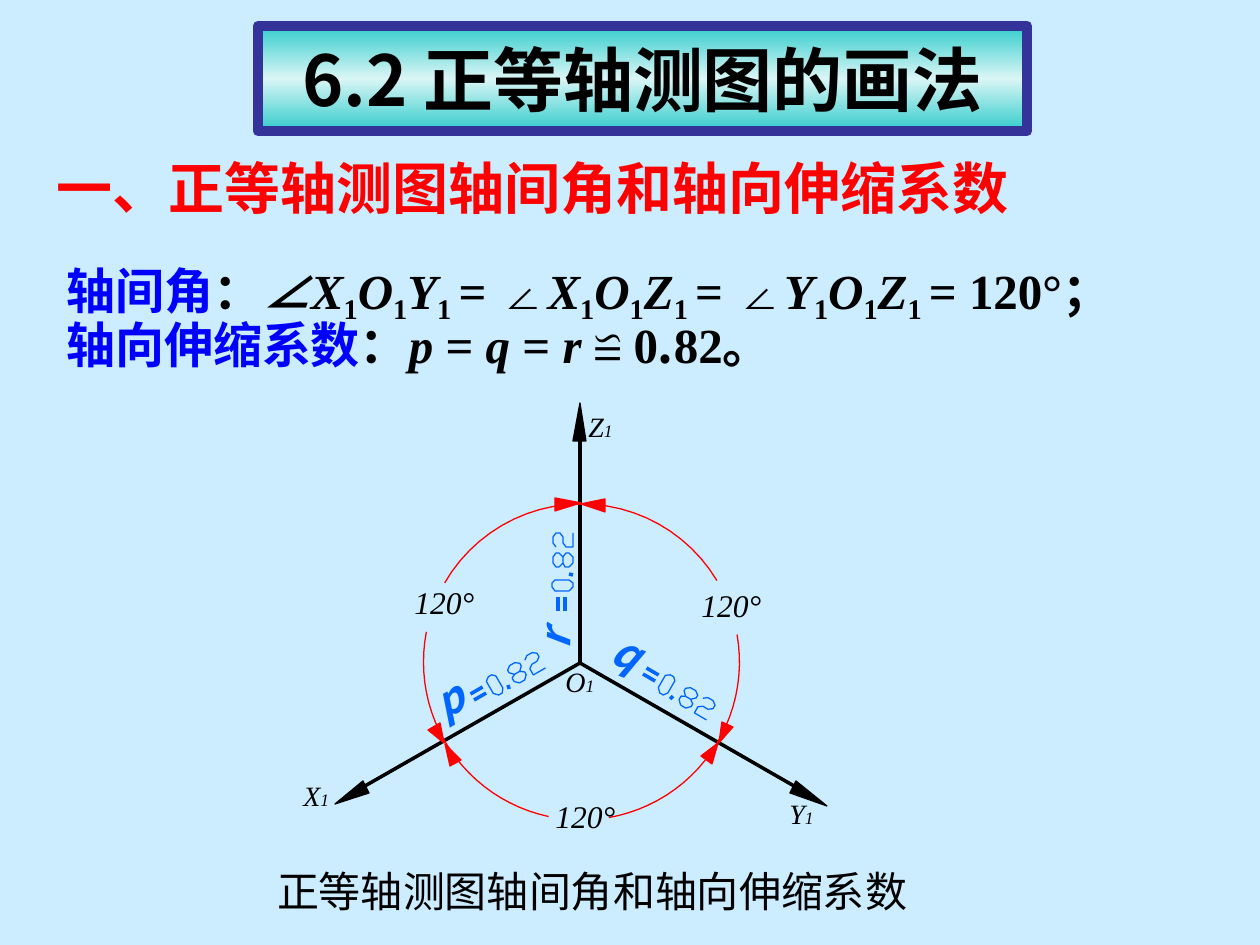
from copy import deepcopy
from math import cos, radians, sin

from lxml import etree
from pptx import Presentation
from pptx.dml.color import RGBColor
from pptx.enum.shapes import MSO_CONNECTOR, MSO_SHAPE
from pptx.enum.text import MSO_ANCHOR, MSO_AUTO_SIZE, PP_ALIGN
from pptx.oxml.ns import qn
from pptx.util import Pt

PX = 914400 / 126
STRAIGHT = MSO_CONNECTOR.STRAIGHT
RECTANGLE = MSO_SHAPE.RECTANGLE
TOP, MIDDLE = MSO_ANCHOR.TOP, MSO_ANCHOR.MIDDLE
LEFT, CENTER = PP_ALIGN.LEFT, PP_ALIGN.CENTER
NO_AUTOFIT = MSO_AUTO_SIZE.NONE

SANS, SERIF, CJK = "Arial", "Times New Roman", "Noto Sans CJK SC"
BLACK, RED, BLUE, SKY = "000000", "FF0000", "0000FF", "0066FF"

ORIGIN = (580, 663)
CIRCLE_CENTER, CIRCLE_RADIUS = (581.5, 662), 158
AXIS_ENDS = [(580, 441), (794, 786), (365, 786)]
AXIS_HEADS = [
    [(573, 441), (580, 403), (586, 441)],
    [(796, 781), (827, 806), (790, 793)],
    [(369, 793), (335, 804), (363, 781)],
]
ARCS = [(-10, 80), (102, 191), (210, 329)]
ARC_HEADS = [
    [(450, 766), (445, 744), (461, 760)],
    [(733, 727), (719, 743), (722, 722)],
    [(701, 756), (718, 743), (712, 764)],
    [(555, 498), (581, 503), (555, 511)],
    [(605, 512), (581, 504), (605, 499)],
    [(440, 723), (444, 743), (428, 730)],
]
AXIS_LABELS = [("Z", 576, 403), ("O", 553, 658), ("Y", 777, 790), ("X", 291, 772)]
ANGLE_LABELS = [(402, 577, 152), (689, 580, 209), (543, 791, 152)]
COEFFICIENT_STROKES = [
    [(0, -15), (14, -15)],
    [(0, -8), (14, -8)],
    [(24, 0), (20, -4), (20, -18), (24, -21), (28, -21), (31, -18), (31, -4), (28, 0), (24, 0)],
    [(36, 0), (37, -4)],
    [(48, 0), (44, -4), (44, -8), (48, -10), (54, -10), (58, -14), (58, -17), (54, -20),
     (48, -20), (44, -17), (44, -14), (48, -10)],
    [(54, -10), (58, -7), (58, -4), (54, 0), (48, 0)],
    [(64, -17), (68, -20), (74, -20), (78, -17), (78, -13), (74, -10), (68, -10), (64, -7),
     (64, 0), (78, 0)],
]
COEFFICIENTS = [
    ("r", (517, 592, 76, 63), 271.8, (573, 611), -90),
    ("q", (601, 619, 47, 63), 21, (639, 681), 30),
    ("p", (421, 662, 73, 63), 329.5, (478, 707), -30),
]


def color(value):
    return RGBColor.from_string(value)


def emu(length):
    return round(length * PX)


def turn(point, origin, degrees):
    angle = radians(degrees)
    x, y = point
    return (origin[0] + x * cos(angle) - y * sin(angle),
            origin[1] + x * sin(angle) + y * cos(angle))


class SlideBuilder:
    def __init__(self, slide, background):
        self.slide = slide
        self.shapes = slide.shapes
        slide.background.fill.solid()
        slide.background.fill.fore_color.rgb = color(background)

    def format_run(self, run, size, font=SERIF, fill=BLACK, bold=False, italic=False, baseline=0):
        run.font.size = Pt(size)
        run.font.bold = bold
        run.font.italic = italic
        run.font.color.rgb = color(fill)
        run.font.name = font
        properties = run.font._element
        etree.SubElement(properties, qn("a:ea")).set("typeface", CJK)
        if baseline:
            properties.set("baseline", str(baseline * 1000))

    def fill_text(self, frame, paragraphs, size, anchor=TOP, align=LEFT, spacing=None, **style):
        frame.vertical_anchor = anchor
        for index, parts in enumerate(paragraphs):
            paragraph = frame.add_paragraph() if index else frame.paragraphs[0]
            paragraph.alignment = align
            paragraph.line_spacing = spacing
            for text, changes in parts:
                run = paragraph.add_run()
                run.text = text
                self.format_run(run, **{"size": size, **style, **changes})

    def title(self, text, box, **style):
        shape = self.shapes.title
        shape.left, shape.top, shape.width, shape.height = map(emu, box)
        shape.text_frame.auto_size = NO_AUTOFIT
        self.fill_text(shape.text_frame, [[(text, {})]], **style)

    def text(self, paragraphs, box, rotation=0, wrap=True, **style):
        shape = self.shapes.add_textbox(*map(emu, box))
        shape.rotation = rotation
        shape.text_frame.word_wrap = wrap
        self.fill_text(shape.text_frame, paragraphs, **style)

    def banner(self, text, box, edge, middle, outline, **style):
        shape = self.shapes.add_shape(RECTANGLE, *map(emu, box))
        shape.shadow.inherit = False
        shape.fill.gradient()
        shape.fill.gradient_angle = 90
        for stop, value in zip(shape.fill.gradient_stops, (edge, middle)):
            stop.color.rgb = color(value)
        stops = shape._element.spPr.find(".//" + qn("a:gsLst"))
        stops.append(deepcopy(stops[0]))
        for stop, position in zip(stops, (0, 50000, 100000)):
            stop.set("pos", str(position))
        shape.line.color.rgb = color(outline)
        shape.line.width = Pt(6)
        self.fill_text(shape.text_frame, [[(text, {})]], **style)

    def line(self, start, end, stroke):
        connector = self.shapes.add_connector(STRAIGHT, *map(emu, start + end))
        connector.line.color.rgb = color(stroke)
        connector.line.width = Pt(0)
        etree.SubElement(connector._element.spPr, qn("a:effectLst"))

    def outline(self, points, stroke, filled=False):
        corners = [(emu(x), emu(y)) for x, y in points]
        builder = self.shapes.build_freeform(*corners[0])
        builder.add_line_segments(corners[1:], close=filled)
        shape = builder.convert_to_shape()
        shape.shadow.inherit = False
        shape.line.color.rgb = color(stroke)
        shape.line.width = Pt(0)
        if filled:
            shape.fill.solid()
            shape.fill.fore_color.rgb = color(stroke)
        else:
            shape.fill.background()

    def arc(self, start, end, stroke, steps=24):
        angles = [start + (end - start) * step / steps for step in range(steps + 1)]
        self.outline([turn((CIRCLE_RADIUS, 0), CIRCLE_CENTER, angle) for angle in angles], stroke)


def angle_runs():
    italic, subscript = {"italic": True}, {"baseline": -20}
    runs = [("轴间角", {"font": SANS, "fill": BLUE}), ("：", {"font": SANS})]
    for first, vertex, last in ("XOY", "XOZ", "YOZ"):
        runs += [("∠" + first, italic), ("1", subscript), (vertex, italic), ("1", subscript),
                 (last, italic), ("1 ", subscript), ("= ", {})]
    runs[-1] = ("= 120°", {})
    return runs + [("；", {"font": SANS})]


def scale_runs():
    runs = [("轴向伸缩系数", {"font": SANS, "fill": BLUE}), ("：", {"font": SANS})]
    for letter, sign in (("p ", "= "), ("q ", "= "), ("r ", "≌ 0")):
        runs += [(letter, {"italic": True}), (sign, {})]
    return runs + [(".", {"font": CJK}), ("82", {}), ("。", {"font": SANS})]


def main():
    presentation = Presentation()
    presentation.slide_width, presentation.slide_height = emu(1260), emu(945)
    slide = presentation.slides.add_slide(presentation.slide_layouts[5])
    builder = SlideBuilder(slide, "CCECFF")

    builder.title("一、正等轴测图轴间角和轴向伸缩系数", (44, 155, 1134, 97),
                  size=32, font=SANS, fill=RED, bold=True, spacing=0.9)
    builder.text([angle_runs(), scale_runs()], (54, 251, 1131, 136),
                 size=28, bold=True, anchor=MIDDLE, spacing=0.9)
    builder.text([[("正等轴测图轴间角和轴向伸缩系数", {})]], (260, 859, 664, 63),
                 wrap=False, size=24, anchor=MIDDLE, align=CENTER)

    for end, head in zip(AXIS_ENDS, AXIS_HEADS):
        builder.line(ORIGIN, end, BLACK)
        builder.outline(head, BLACK, filled=True)
    for letter, left, top in AXIS_LABELS:
        builder.text([[(letter, {}), ("1", {"size": 10})]], (left, top, 76, 47),
                     size=16, italic=True)

    for start, end in ARCS:
        builder.arc(start, end, RED)
    for head in ARC_HEADS:
        builder.outline(head, RED, filled=True)
    for left, top, width in ANGLE_LABELS:
        builder.text([[("120°", {})]], (left, top, width, 50), size=18, italic=True)

    for letter, box, rotation, origin, slope in COEFFICIENTS:
        for stroke in COEFFICIENT_STROKES:
            points = [turn(point, origin, slope) for point in stroke]
            if len(points) == 2:
                builder.line(*points, SKY)
            else:
                builder.outline(points, SKY)
        builder.text([[(letter, {})]], box, rotation=rotation,
                     size=24, font=CJK, fill=SKY, bold=True, italic=True)

    builder.banner("6.2 正等轴测图的画法", (258, 26, 769, 105), "33CCCC", "DAF5F5", "333399",
                   size=40, font=CJK, bold=True, anchor=MIDDLE, align=CENTER)
    presentation.save("out.pptx")


if __name__ == "__main__":
    main()
